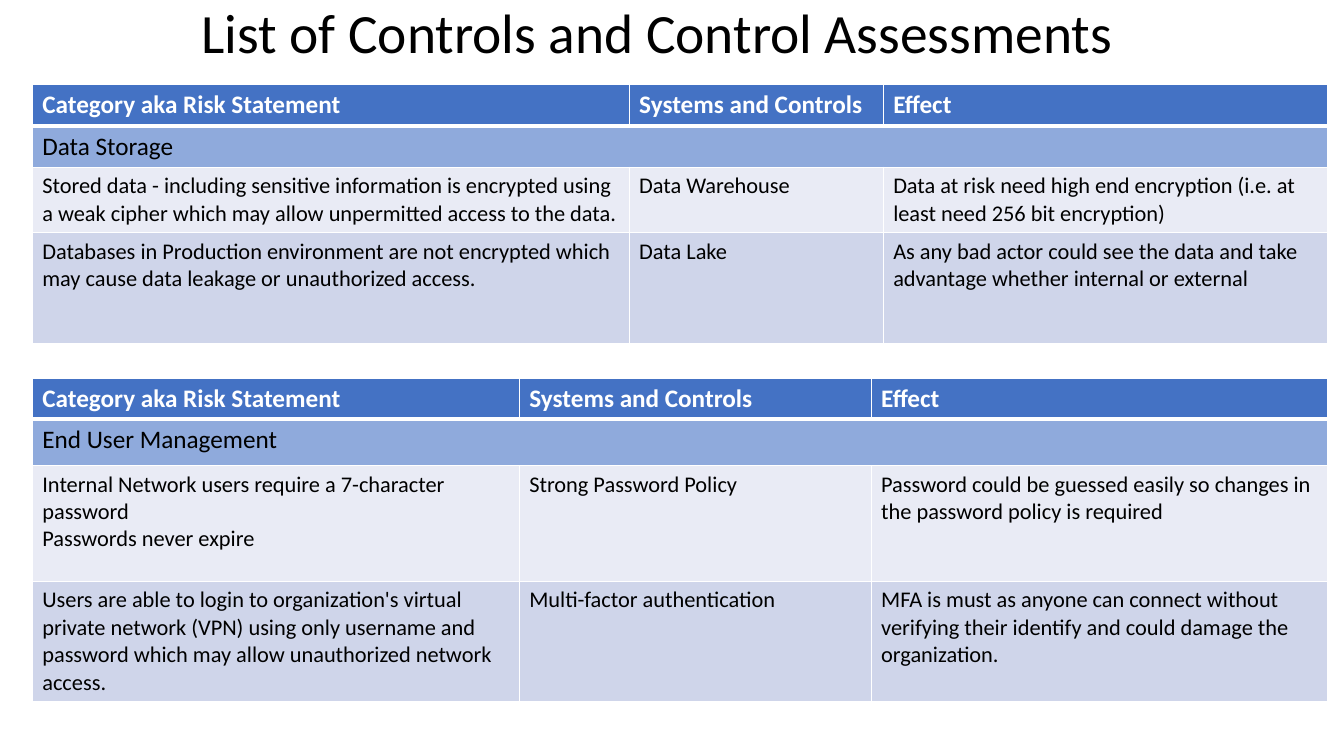
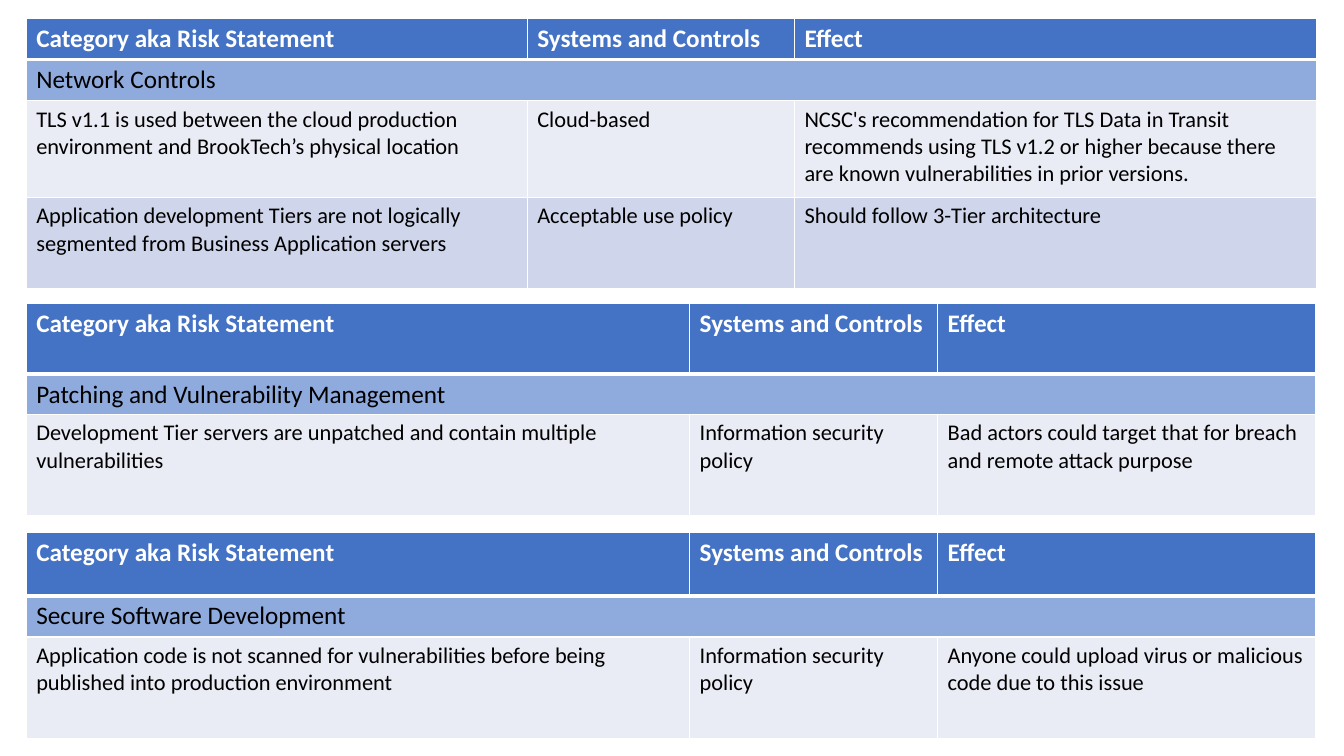
"""Build two slides of control assessment tables."""
from lxml import etree
from pptx import Presentation
from pptx.dml.color import RGBColor
from pptx.enum import text as tx
from pptx.oxml import ns
from pptx.util import Inches, Pt

FONT = "Calibri"
WHITE = RGBColor(0xFF, 0xFF, 0xFF)
BLACK = RGBColor(0, 0, 0)
HEAD = RGBColor(0x44, 0x72, 0xC4)
BAND = RGBColor(0x8F, 0xAA, 0xDC)
ROWS = (RGBColor(0xE9, 0xEB, 0xF5), RGBColor(0xCF, 0xD5, 0xEA))
TITLES = ("Category aka Risk Statement", "Systems and Controls", "Effect")
WIDE = (6.58, 2.46, 3.75)


def write(frame, text, size=16, color=BLACK, bold=False, space=1.0):
    frame.word_wrap = True
    for i, line in enumerate(text.split("\n")):
        para = frame.paragraphs[0] if i == 0 else frame.add_paragraph()
        para.line_spacing = space
        run = para.add_run()
        run.text = line
        font = run.font
        font.name, font.size, font.bold = FONT, Pt(size), bold
        font.color.rgb = color


def edge(cell, side, width):
    props = cell._tc.get_or_add_tcPr()
    line = etree.SubElement(props, ns.qn(f"a:ln{side}"), w=str(Pt(width)))
    fill = etree.SubElement(line, ns.qn("a:solidFill"))
    etree.SubElement(fill, ns.qn("a:srgbClr"), val=str(WHITE))


def paint(cell, row, color):
    for side in "LRTB":
        thick = (row, side) in ((0, "B"), (1, "T"))
        edge(cell, side, 3 if thick else 1)
    cell.fill.solid()
    cell.fill.fore_color.rgb = color


def add_title(slide, text):
    box = slide.shapes.add_textbox(Inches(1.9), 0, Inches(10.51), Inches(0.7))
    box.text_frame.vertical_anchor = tx.MSO_ANCHOR.MIDDLE
    write(box.text_frame, text, size=39.6, space=0.9)


def add_grid(slide, left, top, cols, rows, topic, items):
    frame = slide.shapes.add_table(
        len(rows), len(cols), Inches(left), Inches(top),
        Inches(sum(cols)), Inches(sum(rows)))
    grid = frame.table
    for col, width in zip(grid.columns, cols):
        col.width = Inches(width)
    for row, height in zip(grid.rows, rows):
        row.height = Inches(height)
    fills = (HEAD, BAND) + ROWS
    for r in range(len(rows)):
        for c in range(len(cols)):
            paint(grid.cell(r, c), r, fills[r])
    for c, name in enumerate(TITLES):
        write(grid.cell(0, c).text_frame, name, size=18, color=WHITE, bold=True)
    grid.cell(1, 0).merge(grid.cell(1, len(cols) - 1))
    write(grid.cell(1, 0).text_frame, topic, size=18)
    for r, item in enumerate(items, 2):
        for c, text in enumerate(item):
            write(grid.cell(r, c).text_frame, text)


def main():
    deck = Presentation()
    deck.slide_width, deck.slide_height = Inches(13.33), Inches(7.5)
    first, second = (deck.slides.add_slide(deck.slide_layouts[6])
                     for _ in range(2))

    add_title(first, "List of Controls and Control Assessments")
    add_grid(first, 0.32, 0.84, (5.92, 2.52, 4.41), (0.41, 0.41, 0.65, 1.1),
             "Data Storage", [
        ("Stored data - including sensitive information is encrypted using "
         "a weak cipher which may allow unpermitted access to the data.",
         "Data Warehouse",
         "Data at risk need high end encryption (i.e. at least need 256 bit "
         "encryption)"),
        ("Databases in Production environment are not encrypted which may "
         "cause data leakage or unauthorized access.",
         "Data Lake",
         "As any bad actor could see the data and take advantage whether "
         "internal or external")])
    add_grid(first, 0.32, 3.75, (4.83, 3.49, 4.53), (0.41, 0.46, 1.15, 1.19),
             "End User Management", [
        ("Internal Network users require a 7-character password\n"
         "Passwords never expire",
         "Strong Password Policy",
         "Password could be guessed easily so changes in the password policy "
         "is required"),
        ("Users are able to login to organization's virtual private network "
         "(VPN) using only username and password which may allow "
         "unauthorized network access.",
         "Multi-factor authentication",
         "MFA is must as anyone can connect without verifying their identify "
         "and could damage the organization.")])

    add_grid(second, 0.26, 0.18, (4.97, 2.65, 5.18), (0.41, 0.41, 0.96, 0.9),
             "Network Controls", [
        ("TLS v1.1 is used between the cloud production environment and "
         "BrookTech’s physical location",
         "Cloud-based",
         "NCSC's recommendation for TLS Data in Transit recommends using TLS "
         "v1.2 or higher because there are known vulnerabilities in prior "
         "versions."),
        ("Application development Tiers are not logically segmented from "
         "Business Application servers",
         "Acceptable use policy",
         "Should follow 3-Tier architecture")])
    add_grid(second, 0.26, 3.01, WIDE, (0.7, 0.4, 1),
             "Patching and Vulnerability Management", [
        ("Development Tier servers are unpatched and contain multiple "
         "vulnerabilities",
         "Information security policy",
         "Bad actors could target that for breach and remote attack purpose")])
    add_grid(second, 0.26, 5.28, WIDE, (0.63, 0.41, 1.01),
             "Secure Software Development", [
        ("Application code is not scanned for vulnerabilities before being "
         "published into production environment",
         "Information security policy",
         "Anyone could upload virus or malicious code due to this issue")])
    deck.save("out.pptx")


if __name__ == "__main__":
    main()
